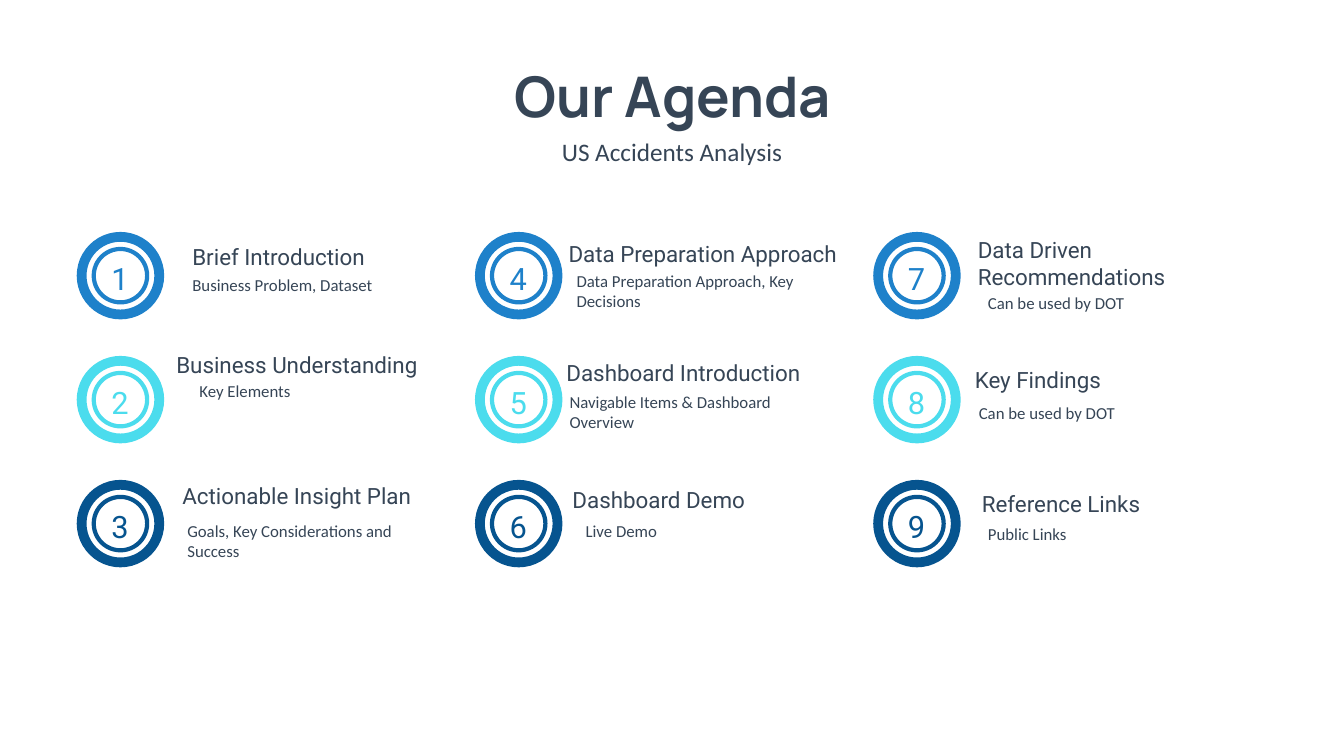
from dataclasses import dataclass

from pptx import Presentation
from pptx.dml.color import RGBColor
from pptx.enum.shapes import MSO_SHAPE
from pptx.enum.text import MSO_AUTO_SIZE, PP_ALIGN
from pptx.util import Pt

PX = 9144
COLUMN_LEFT, COLUMN_STEP = 81, 395
ROW_TOP, ROW_STEP = 235, 123
BADGE_SIZE, RING_INSET = 77, 12


@dataclass(frozen=True)
class Theme:
    """Colours and type styles of the agenda."""

    ink: str = "364556"
    rows: tuple = ("1E81CA", "4BDCED", "06548F")
    title: tuple = ("Manrope", 40, True)
    subtitle: tuple = ("Calibri", 18, False)
    heading: tuple = ("Roboto", 16, False)
    detail: tuple = ("Calibri", 12, False)
    number: tuple = ("Roboto", 22, False)


THEME = Theme()

AGENDA = [
    ("Brief Introduction", (181, 236, 250, 37),
     "Business Problem, Dataset", (181, 268, 247, 30)),
    ("Business Understanding", (165, 343, 278, 37),
     "Key Elements", (188, 373, 247, 30)),
    ("Actionable Insight Plan", (171, 473, 258, 37),
     "Goals, Key Considerations and Success", (176, 512, 247, 50)),
    ("Data Preparation Approach", (554, 233, 291, 37),
     "Data Preparation Approach, Key Decisions", (562, 264, 264, 50)),
    ("Dashboard Introduction", (552, 351, 267, 37),
     "Navigable Items & Dashboard Overview", (555, 384, 268, 50)),
    ("Dashboard Demo", (558, 477, 250, 37),
     "Live Demo", (571, 512, 247, 30)),
    ("Data Driven Recommendations", (960, 229, 250, 64),
     "Can be used by DOT", (970, 286, 247, 30)),
    ("Key Findings", (957, 358, 273, 37),
     "Can be used by DOT", (961, 395, 247, 30)),
    ("Reference Links", (964, 481, 250, 37),
     "Public Links", (970, 515, 247, 30)),
]


def scaled(bounds):
    """Turn px lengths into EMU."""
    return [length * PX for length in bounds]


def add_text(page, text, bounds, style, color=THEME.ink, align=PP_ALIGN.LEFT, wrap=True):
    """Add one line or paragraph of styled text."""
    frame = page.shapes.add_textbox(*scaled(bounds)).text_frame
    frame.word_wrap = wrap
    frame.auto_size = MSO_AUTO_SIZE.SHAPE_TO_FIT_TEXT
    para = frame.paragraphs[0]
    para.alignment = align
    span = para.add_run()
    span.text = text
    name, size, bold = style
    for key, value in {"name": name, "size": Pt(size), "bold": bold}.items():
        setattr(span.font, key, value)
    span.font.color.rgb = RGBColor.from_string(color)


def add_ring(page, left, top, size, color, weight):
    """Add an unfilled circle with a coloured outline."""
    ring = page.shapes.add_shape(MSO_SHAPE.OVAL, *scaled((left, top, size, size)))
    ring.shadow.inherit = False
    ring.fill.background()
    ring.line.color.rgb = RGBColor.from_string(color)
    ring.line.width = Pt(weight)


def add_badge(page, index):
    """Add a numbered double ring at its place in the grid."""
    column, row = divmod(index, len(THEME.rows))
    left = COLUMN_LEFT + column * COLUMN_STEP
    top = ROW_TOP + row * ROW_STEP
    color = THEME.rows[row]
    add_ring(page, left, top, BADGE_SIZE, color, 7)
    add_ring(page, left + RING_INSET, top + RING_INSET,
             BADGE_SIZE - 2 * RING_INSET, color, 3)
    add_text(page, str(index + 1), (left + 17, top + 18, 42, 47),
             THEME.number, color, PP_ALIGN.CENTER)


def main():
    """Build and save the agenda slide."""
    deck = Presentation()
    deck.slide_width, deck.slide_height = scaled((1333, 750))
    page = deck.slides.add_slide(deck.slide_layouts[6])
    add_text(page, "Our Agenda", (484, 56, 366, 77), THEME.title,
             align=PP_ALIGN.CENTER, wrap=False)
    add_text(page, "US Accidents Analysis", (146, 130, 1041, 40), THEME.subtitle,
             align=PP_ALIGN.CENTER)
    for index, (heading, heading_bounds, detail, detail_bounds) in enumerate(AGENDA):
        add_badge(page, index)
        add_text(page, heading, heading_bounds, THEME.heading)
        add_text(page, detail, detail_bounds, THEME.detail)
    deck.save("out.pptx")


if __name__ == "__main__":
    main()
